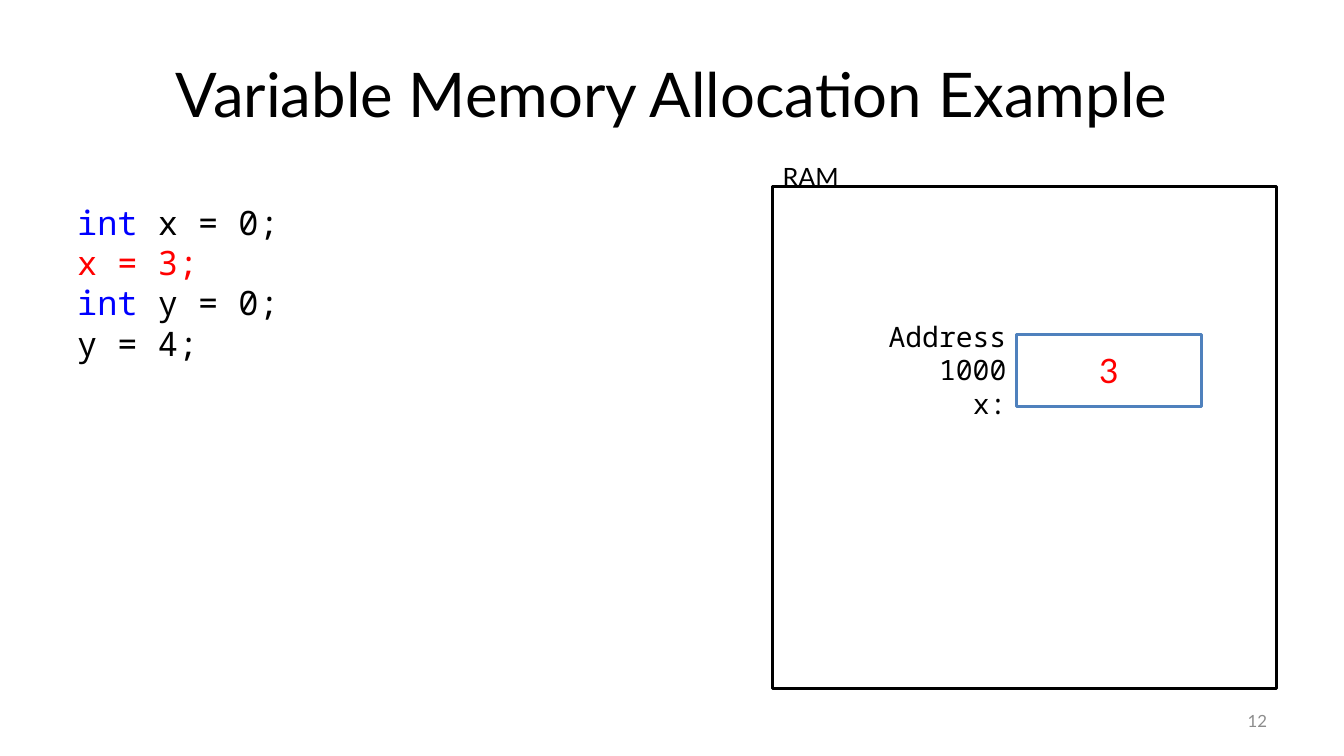
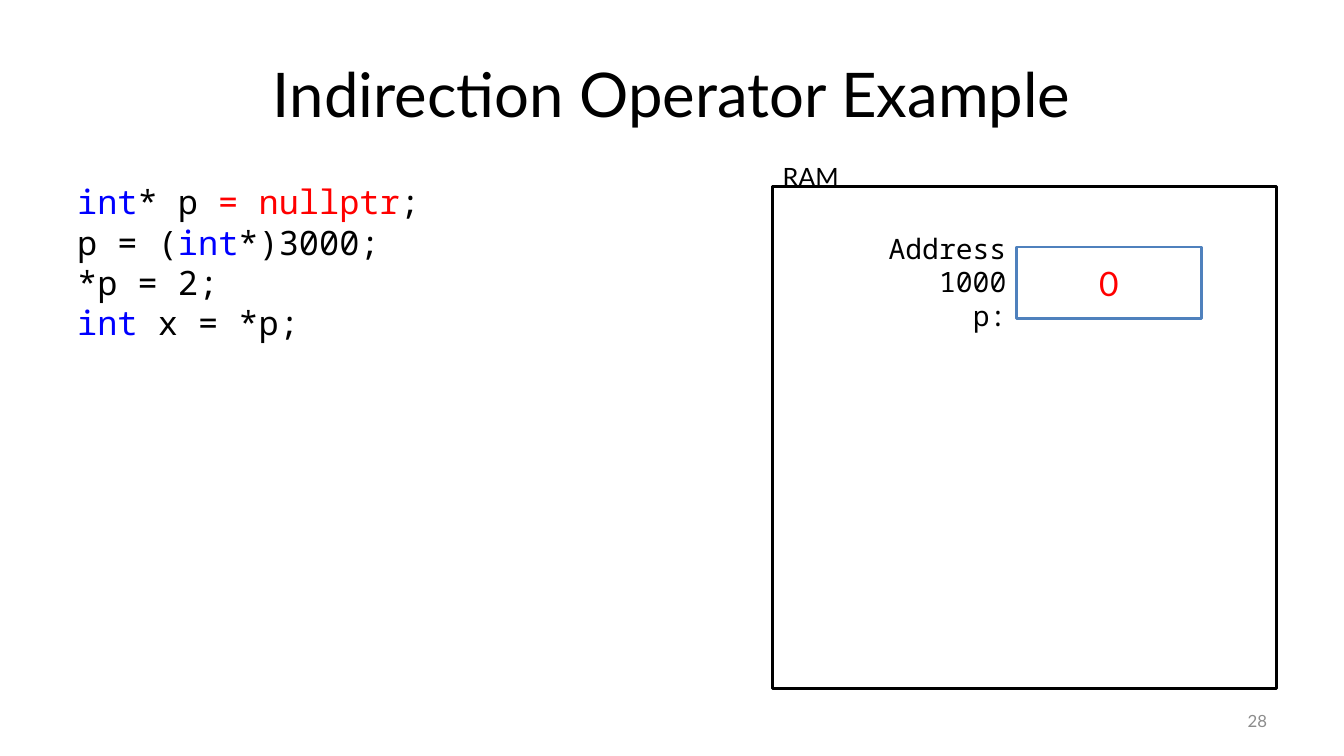
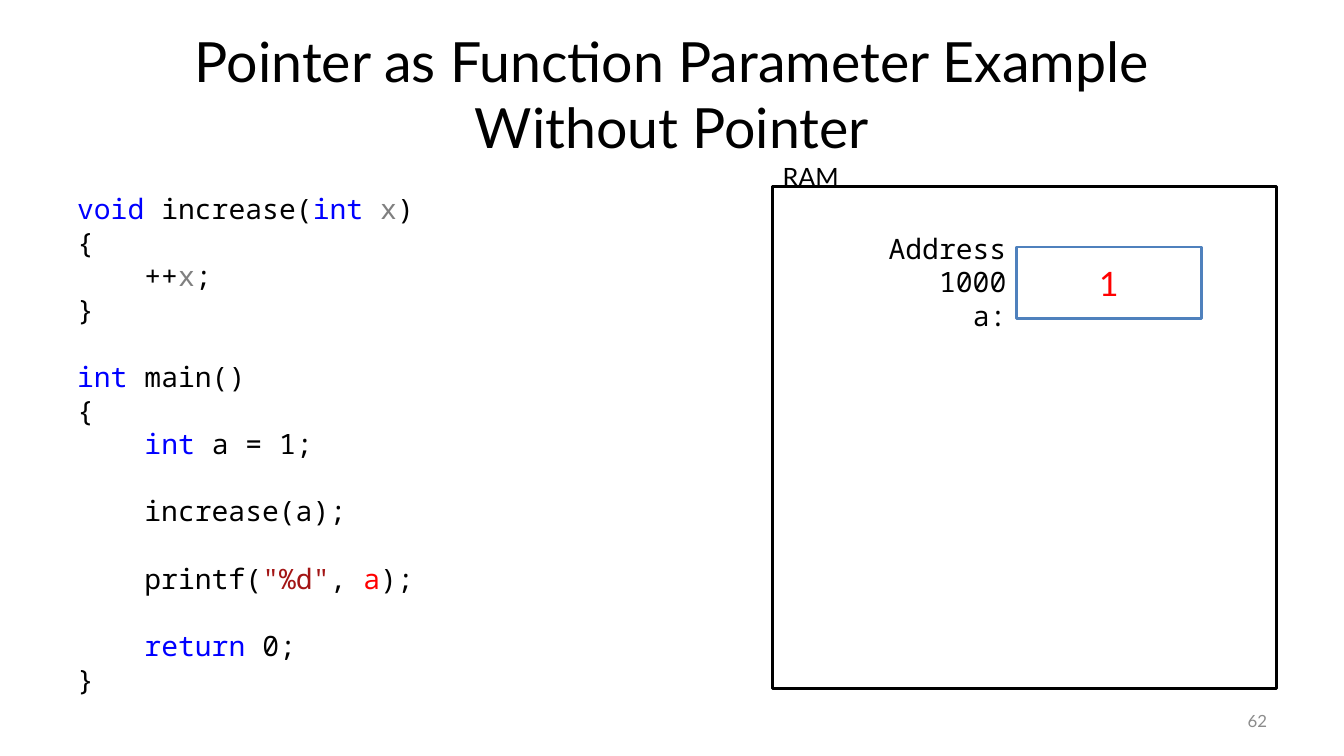
from pptx import Presentation
from pptx.dml.color import RGBColor
from pptx.enum.shapes import MSO_SHAPE
from pptx.enum.text import MSO_ANCHOR, MSO_AUTO_SIZE, PP_ALIGN
from pptx.util import Inches, Pt

# Shared style
SLIDE_WIDTH, SLIDE_HEIGHT = Inches(13.33), Inches(7.5)
COLUMN, ROW = SLIDE_WIDTH / 40, SLIDE_HEIGHT / 150
SANS, MONO = "Lato", "Noto Sans Mono"
BLACK, WHITE, RED = "000000", "FFFFFF", "FF0000"
KEYWORD, PARAMETER, STRING = "0000FF", "808080", "A31515"
CELL_LINE, NUMBER_GREY = "4F81BD", "8C8C8C"
LINE_HEIGHT = 1.2

# Regions as left, top, width, height in columns and rows
TITLE_BOX = (2, 6, 36, 25)
NUMBER_BOX = (28.68, 139, 9.33, 8)
RAM_BOX = (23, 37, 15, 99.6)
MEMORY_PITCH = 17.4

INT = ("int", KEYWORD)

SLIDES = [
    {
        "title": "Variable Memory Allocation Example", "title_size": 44,
        "number": "12", "variable": "x:", "value": "3", "memory_row": 1,
        "code_box": (2, 39, 18, 34), "code_size": 24,
        "code": [
            [INT, " x = 0;"],
            [("x = 3;", RED)],
            [INT, " y = 0;"],
            ["y = 4;"],
        ],
    },
    {
        "title": "Indirection Operator Example", "title_size": 44,
        "number": "28", "variable": "p:", "value": "0", "memory_row": 0,
        "code_box": (2, 35, 18, 34), "code_size": 24,
        "code": [
            [INT, "* p ", ("= nullptr", RED), ";"],
            ["p = (", INT, "*)3000;"],
            ["*p = 2;"],
            [INT, " x = *p;"],
        ],
    },
    {
        "title": "Pointer as Function Parameter Example\vWithout Pointer",
        "title_size": 39.6,
        "number": "62", "variable": "a:", "value": "1", "memory_row": 0,
        "code_box": (2, 37, 18, 103), "code_size": 20,
        "code": [
            [("void ", KEYWORD), "increase(", ("int ", KEYWORD), ("x", PARAMETER), ")"],
            ["{"],
            ["    ++", ("x", PARAMETER), ";"],
            ["}"],
            [],
            [("int ", KEYWORD), "main()"],
            ["{"],
            ["    ", INT, " a = 1;"],
            [],
            ["    increase(a);"],
            [],
            ["    printf(", ('"%d"', STRING), ", ", ("a", RED), ");"],
            [],
            ["    ", ("return", KEYWORD), " 0;"],
            ["}"],
        ],
    },
]


def color(hex_string):
    return RGBColor.from_string(hex_string)


def place(box):
    left, top, width, height = box
    return (round(left * COLUMN), round(top * ROW),
            round(width * COLUMN), round(height * ROW))


def style(font, size, hex_string, name=SANS):
    font.name, font.size = name, Pt(size)
    font.color.rgb = color(hex_string)


def write(shape, text, size, hex_string=BLACK, name=SANS,
          align=PP_ALIGN.LEFT, anchor=MSO_ANCHOR.MIDDLE):
    frame = shape.text_frame
    frame.text = text
    frame.word_wrap = True
    frame.auto_size = MSO_AUTO_SIZE.NONE
    frame.vertical_anchor = anchor
    for paragraph in frame.paragraphs:
        paragraph.alignment = align
        for run in paragraph.runs:
            style(run.font, size, hex_string, name)


def add_text(slide, box, *text, **options):
    shape = slide.shapes.add_textbox(*place(box))
    write(shape, *text, **options)
    return shape


def add_rectangle(slide, box, line):
    shape = slide.shapes.add_shape(MSO_SHAPE.RECTANGLE, *place(box))
    shape.shadow.inherit = False
    shape.fill.solid()
    shape.fill.fore_color.rgb = color(WHITE)
    shape.line.color.rgb = color(line)
    shape.line.width = Pt(2)
    return shape


def add_title(slide, box, title, size):
    shape = slide.shapes.title
    shape.left, shape.top, shape.width, shape.height = place(box)
    write(shape, title, size, align=PP_ALIGN.CENTER)


def add_ram(slide, box, variable, value, memory_row):
    left, top, width, height = box
    cell_top = top + 12 + memory_row * MEMORY_PITCH
    # Memory outline and its caption
    add_rectangle(slide, box, BLACK)
    add_text(slide, (left, top - 6, 5.6, 8), "RAM", 18, anchor=MSO_ANCHOR.TOP)
    # Value cell
    cell = add_rectangle(slide, (left + 7.25, cell_top, 5.5, 14.2), CELL_LINE)
    write(cell, value, 24, RED, align=PP_ALIGN.CENTER)
    # Address and variable name
    label = add_text(slide, (left + 1, cell_top - 0.8, 6.25, 15.4),
                     "Address 1000\n" + variable, 20, name=MONO,
                     align=PP_ALIGN.RIGHT)
    label.text_frame.paragraphs[1].level = 1


def add_code(slide, box, lines, size):
    """An empty line becomes space before the line after it."""
    frame = add_text(slide, box, "", size, anchor=MSO_ANCHOR.TOP).text_frame
    paragraph, gap = frame.paragraphs[0], 0
    for index, line in enumerate(lines):
        if not line:
            gap += size * LINE_HEIGHT
            continue
        if index:
            paragraph = frame.add_paragraph()
        paragraph.space_before, gap = Pt(gap), 0
        for part in line:
            text, hex_string = (part, BLACK) if isinstance(part, str) else part
            run = paragraph.add_run()
            run.text = text
            style(run.font, size, hex_string, MONO)


def add_example(presentation, content):
    slide = presentation.slides.add_slide(presentation.slide_layouts[5])
    add_title(slide, TITLE_BOX, content["title"], content["title_size"])
    add_text(slide, NUMBER_BOX, content["number"], 12, NUMBER_GREY,
             align=PP_ALIGN.RIGHT)
    add_ram(slide, RAM_BOX, content["variable"], content["value"],
            content["memory_row"])
    add_code(slide, content["code_box"], content["code"], content["code_size"])


def main():
    presentation = Presentation()
    presentation.slide_width = SLIDE_WIDTH
    presentation.slide_height = SLIDE_HEIGHT
    for content in SLIDES:
        add_example(presentation, content)
    presentation.save("out.pptx")


if __name__ == "__main__":
    main()
